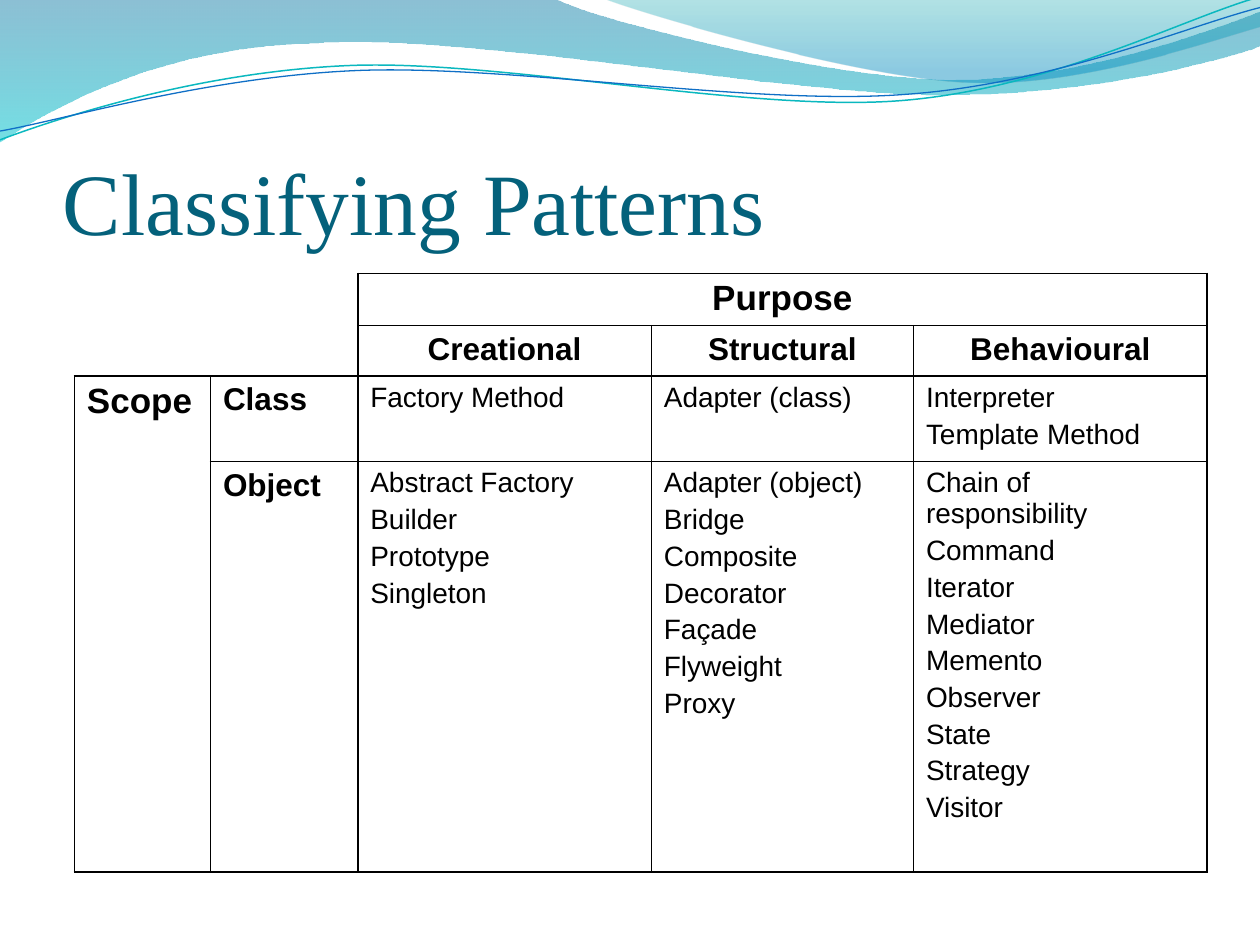
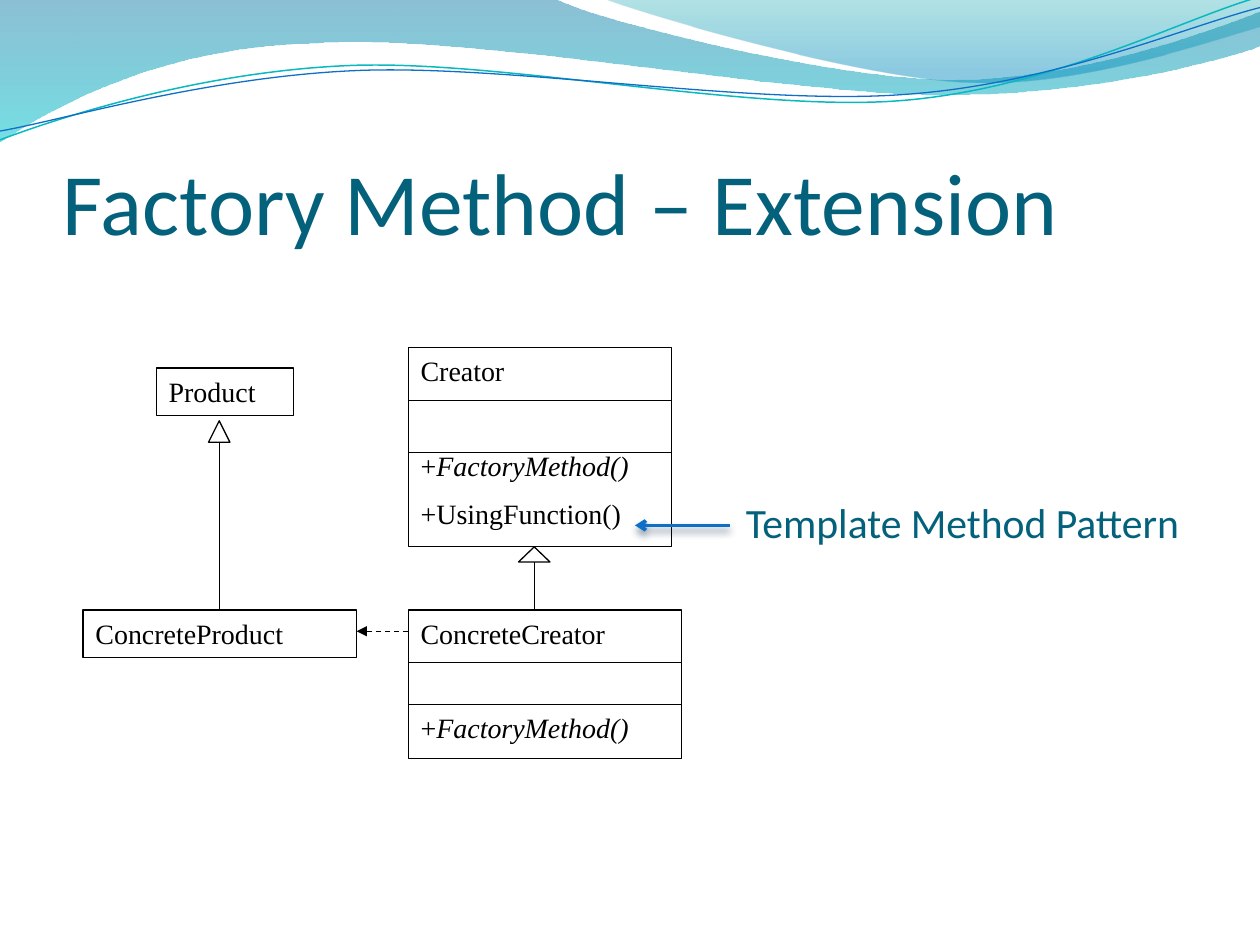
from math import cos, radians, sin

from lxml.etree import SubElement
from pptx import Presentation
from pptx.dml.color import RGBColor
from pptx.enum.dml import MSO_LINE
from pptx.enum.shapes import MSO_CONNECTOR, MSO_SHAPE
from pptx.enum.text import MSO_ANCHOR, PP_ALIGN
from pptx.oxml import parse_xml
from pptx.oxml.ns import nsdecls, qn
from pptx.util import Inches, Pt

BLACK = RGBColor(0x00, 0x00, 0x00)
WHITE = RGBColor(0xFF, 0xFF, 0xFF)
TITLE = RGBColor(0x04, 0x61, 0x7B)
BLUE = RGBColor(0x0F, 0x6F, 0xC6)
TEAL = RGBColor(0x0A, 0xB8, 0xBF)
DEEP_BLUE = RGBColor(0x00, 0x74, 0xA1)
CYAN = RGBColor(0x00, 0xC6, 0xCF)
SEA_GREEN = RGBColor(0x00, 0xA1, 0xA9)
SKY_BLUE = RGBColor(0x00, 0x8B, 0xBF)
SHADOW = RGBColor(0x04, 0x27, 0x47)
SERIF, SANS, ARIAL = "Times New Roman", "Calibri", "Arial"

WIDE_BAND = [
    (0, 0), (4.4, -0.01), (4.76, 0.17, 6.64, 0.63, 7.58, 0.63),
    (8.53, 0.63, 9.58, 0.26, 10, 0.09), (10.01, 0.36),
    (9.83, 0.44, 8.7, 0.76, 7.46, 0.75), (6.22, 0.75, 3.82, 0.28, 2.57, 0.34),
    (1.29, 0.36, 0.46, 0.83, -0.01, 1.13)]
CORNER_BAND = [
    (4.79, -0.01), (5.09, 0.11, 6.82, 0.62, 7.69, 0.65),
    (8.56, 0.69, 9.61, 0.32, 10, 0.21), (10, 0)]
TEAL_WAVE = [
    (0, 1.11), (0.48, 0.93, 1.58, 0.57, 2.77, 0.52),
    (3.95, 0.47, 5.93, 0.89, 7.13, 0.8), (8.33, 0.71, 9.38, 0.15, 9.98, -0.02)]
BLUE_WAVE = [
    (0, 1.04), (0.47, 0.96, 1.64, 0.61, 2.83, 0.56),
    (4.03, 0.51, 5.97, 0.84, 7.17, 0.75), (8.36, 0.67, 9.41, 0.21, 10, 0.06)]
WAVE_CENTRE = (4.99, 0.58)
WAVE_TILT = 2.7

COLUMNS = [1.08, 1.17, 2.33, 2.08, 2.33]
ROWS = [0.4, 0.4, 0.66, 3.26]
HEADINGS = [
    (0, 2, "Purpose", 20, PP_ALIGN.CENTER),
    (1, 2, "Creational", 18, PP_ALIGN.CENTER),
    (1, 3, "Structural", 18, PP_ALIGN.CENTER),
    (1, 4, "Behavioural", 18, PP_ALIGN.CENTER),
    (2, 0, "Scope", 20, PP_ALIGN.LEFT),
    (2, 1, "Class", 18, PP_ALIGN.LEFT),
    (3, 1, "Object", 18, PP_ALIGN.LEFT)]
PATTERNS = {
    (2, 2): ["Factory Method"],
    (2, 3): ["Adapter (class)"],
    (2, 4): ["Interpreter", "Template Method"],
    (3, 2): ["Abstract Factory", "Builder", "Prototype", "Singleton"],
    (3, 3): ["Adapter (object)", "Bridge", "Composite", "Decorator", "Façade",
             "Flyweight", "Proxy"],
    (3, 4): ["Chain of responsibility", "Command", "Iterator", "Mediator",
             "Memento", "Observer", "State", "Strategy", "Visitor"]}
CORNER_BORDERS = {(0, 0): "", (0, 1): "R", (1, 0): "B", (1, 1): "RB"}


def write(tf, paragraphs, font=SERIF, size=16, color=BLACK, bold=False,
          align=PP_ALIGN.LEFT, gap=0, skip=0):
    """Write paragraphs; a tuple holds a plain run and an italic run."""
    tf.word_wrap = True
    for i, runs in enumerate(paragraphs):
        p = tf.paragraphs[0] if i == 0 else tf.add_paragraph()
        p.alignment = align
        if i:
            p.space_before = Pt(gap + (skip if i == 1 else 0))
        for j, text in enumerate((runs,) if isinstance(runs, str) else runs):
            r = p.add_run()
            r.text = text
            r.font.name, r.font.size = font, Pt(size)
            r.font.bold, r.font.italic = bold, j == 1
            r.font.color.rgb = color


def add_label(slide, text, left, top, width, height, font, size):
    """Add a bottom-anchored text box in the title colour."""
    sp = slide.shapes.add_textbox(*map(Inches, (left, top, width, height)))
    tf = sp.text_frame
    tf.vertical_anchor = MSO_ANCHOR.BOTTOM
    tf.margin_left = tf.margin_right = tf.margin_bottom = 0
    write(tf, [text], font=font, size=size, color=TITLE)


def add_curve(parent, outline, close):
    """Add a freeform whose six-number segments are Bezier curves."""
    points = [(Inches(x), Inches(y)) for segment in outline
              for x, y in zip(segment[::2], segment[1::2])]
    builder = parent.shapes.build_freeform(*points[0])
    builder.add_line_segments(points[1:], close=close)
    sp = builder.convert_to_shape()
    sp.shadow.inherit = False
    lines = iter(list(sp._element.iter(qn("a:lnTo"))))
    for segment in outline[1:]:
        line = next(lines)
        if len(segment) == 6:
            line.tag = qn("a:cubicBezTo")
            for extra in (next(lines), next(lines)):
                line.append(extra[0])
                extra.getparent().remove(extra)
    return sp


def add_band(slide, outline, stops):
    """Add a band with a translucent vertical gradient."""
    sp = add_curve(slide, outline, True)
    sp.line.fill.background()
    sp.fill.gradient()
    sp.fill.gradient_angle = 270
    for stop, (position, color, _) in zip(sp.fill.gradient_stops, stops):
        stop.position = position
        stop.color.rgb = color
    colors = list(sp._element.spPr.iter(qn("a:srgbClr")))
    for color, (_, _, alpha) in zip(colors, stops):
        SubElement(color, qn("a:alpha"), val=str(alpha * 1000))


def level(x, y):
    """Turn a point of a tilted wave back to the level position."""
    cx, cy = WAVE_CENTRE
    c, s = cos(radians(WAVE_TILT)), sin(radians(WAVE_TILT))
    return cx + (x - cx) * c - (y - cy) * s, cy + (x - cx) * s + (y - cy) * c


def add_wave(parent, outline, color, width):
    """Add a thin open curve, drawn level and then tilted."""
    flat = [tuple(v for x, y in zip(segment[::2], segment[1::2]) for v in level(x, y))
            for segment in outline]
    sp = add_curve(parent, flat, False)
    sp.rotation = 360 - WAVE_TILT
    sp.fill.background()
    sp.line.color.rgb, sp.line.width = color, Pt(width)


def add_header(slide):
    """Draw the wave header and move it to the layout that slides share."""
    add_band(slide, WIDE_BAND, [(0, DEEP_BLUE, 45), (1, CYAN, 55)])
    add_band(slide, CORNER_BAND, [(0, SEA_GREEN, 30), (0.8, SKY_BLUE, 45)])
    waves = slide.shapes.add_group_shape()
    add_wave(waves, TEAL_WAVE, TEAL, 0.85)
    add_wave(waves, BLUE_WAVE, BLUE, 0.75)
    layout = slide.slide_layout
    for ph in list(layout.placeholders):
        ph._element.getparent().remove(ph._element)
    for sp in list(slide.shapes):
        layout.shapes._spTree.append(sp._element)


def set_borders(cell, sides):
    """Draw black borders on the named sides and clear the others."""
    tcPr = cell._tc.get_or_add_tcPr()
    for i, side in enumerate("LRTB"):
        fill = (f'<a:solidFill><a:srgbClr val="{BLACK}"/></a:solidFill>'
                if side in sides else "<a:noFill/>")
        tcPr.insert(i, parse_xml(
            f'<a:ln{side} {nsdecls("a")} w="12700">{fill}</a:ln{side}>'))


def add_pattern_table(slide):
    """Add the table of patterns by scope and purpose."""
    frame = slide.shapes.add_table(
        len(ROWS), len(COLUMNS), Inches(0.59), Inches(2.17),
        Inches(sum(COLUMNS)), Inches(sum(ROWS)))
    table = frame.table
    table.first_row = table.horz_banding = False
    for column, width in zip(table.columns, COLUMNS):
        column.width = Inches(width)
    for row, height in zip(table.rows, ROWS):
        row.height = Inches(height)
    for r in range(len(ROWS)):
        for c in range(len(COLUMNS)):
            cell = table.cell(r, c)
            if (r, c) in CORNER_BORDERS:
                cell.fill.background()
            else:
                cell.fill.solid()
                cell.fill.fore_color.rgb = WHITE
            if r == 0:
                cell.margin_top = cell.margin_bottom = Inches(0.04)
            set_borders(cell, CORNER_BORDERS.get((r, c), "LRTB"))
    table.cell(0, 2).merge(table.cell(0, 4))
    table.cell(2, 0).merge(table.cell(3, 0))
    for r, c, text, size, align in HEADINGS:
        write(table.cell(r, c).text_frame, [text], font=ARIAL, size=size,
              bold=True, align=align)
    for (r, c), names in PATTERNS.items():
        write(table.cell(r, c).text_frame, names, font=ARIAL, gap=3.2)


def add_outlined(parent, kind, left, top, width, height):
    """Add a white preset shape with a thin black outline."""
    sp = parent.shapes.add_shape(kind, *map(Inches, (left, top, width, height)))
    sp.shadow.inherit = False
    sp.fill.solid()
    sp.fill.fore_color.rgb = WHITE
    sp.line.color.rgb, sp.line.width = BLACK, Pt(0.75)
    return sp


def add_class(parent, left, top, width, height, paragraphs):
    """Add a UML class box; members start below the attribute compartment."""
    sp = add_outlined(parent, MSO_SHAPE.RECTANGLE, left, top, width, height)
    sp.text_frame.vertical_anchor = MSO_ANCHOR.TOP
    write(sp.text_frame, paragraphs, gap=8, skip=27)


def add_line(parent, x1, y1, x2, y2, color=BLACK, width=0.75, dash=None,
             head=None, shadow=False):
    """Add a straight line with an optional dash, end arrowhead and shadow."""
    line = parent.shapes.add_connector(
        MSO_CONNECTOR.STRAIGHT, *map(Inches, (x1, y1, x2, y2)))
    line.line.color.rgb, line.line.width = color, Pt(width)
    if dash:
        line.line.dash_style = dash
    if head:
        SubElement(line.line._get_or_add_ln(), qn("a:tailEnd"), type=head)
    effects = SubElement(line._element.spPr, qn("a:effectLst"))
    if shadow:
        outer = SubElement(effects, qn("a:outerShdw"), blurRad=str(Pt(4.5)),
                           dist=str(Pt(3)), dir="5400000", rotWithShape="0")
        color = SubElement(outer, qn("a:srgbClr"), val=str(SHADOW))
        SubElement(color, qn("a:alpha"), val="48000")


def add_class_diagram(slide):
    """Add the factory method class diagram and its callout."""
    factory = ("+", "FactoryMethod()")
    group = slide.shapes.add_group_shape()
    add_class(group, 1.24, 2.92, 1.09, 0.38, ["Product"])
    add_class(group, 0.66, 4.84, 2.17, 0.38, ["ConcreteProduct"])
    add_class(group, 3.24, 4.84, 2.17, 1.18, ["ConcreteCreator", factory])
    add_class(group, 3.24, 2.76, 2.09, 1.58, ["Creator", factory, "+UsingFunction()"])
    for x, top, width, height in [(1.74, 3.34, 0.17, 0.17), (4.24, 4.34, 0.25, 0.12)]:
        add_line(group, x, 4.84, x, top + height)
        add_outlined(group, MSO_SHAPE.ISOSCELES_TRIANGLE, x - width / 2, top, width, height)
    add_line(group, 3.24, 5.01, 2.83, 5.01, dash=MSO_LINE.DASH, head="triangle")
    for y, right in [(3.18, 5.33), (3.59, 5.33), (5.26, 5.41), (5.59, 5.41)]:
        add_line(group, 3.24, y, right, y)
    add_label(slide, "Template Method Pattern", 5.92, 3.92, 3.58, 0.42, SANS, 23.8)
    add_line(slide, 5.79, 4.17, 5.04, 4.17, color=BLUE, width=2, head="arrow", shadow=True)


def main():
    """Build the two slides and save them."""
    prs = Presentation()
    prs.slide_width, prs.slide_height = Inches(10), Inches(7.5)
    table_slide, diagram_slide = (
        prs.slides.add_slide(prs.slide_layouts[6]) for _ in range(2))
    add_header(table_slide)
    add_label(table_slide, "Classifying Patterns", 0.5, 0.76, 9, 1.25, SERIF, 50)
    add_pattern_table(table_slide)
    add_label(diagram_slide, "Factory Method – Extension", 0.5, 0.76, 9, 1.25, SANS, 50)
    add_class_diagram(diagram_slide)
    prs.save("out.pptx")


main()
